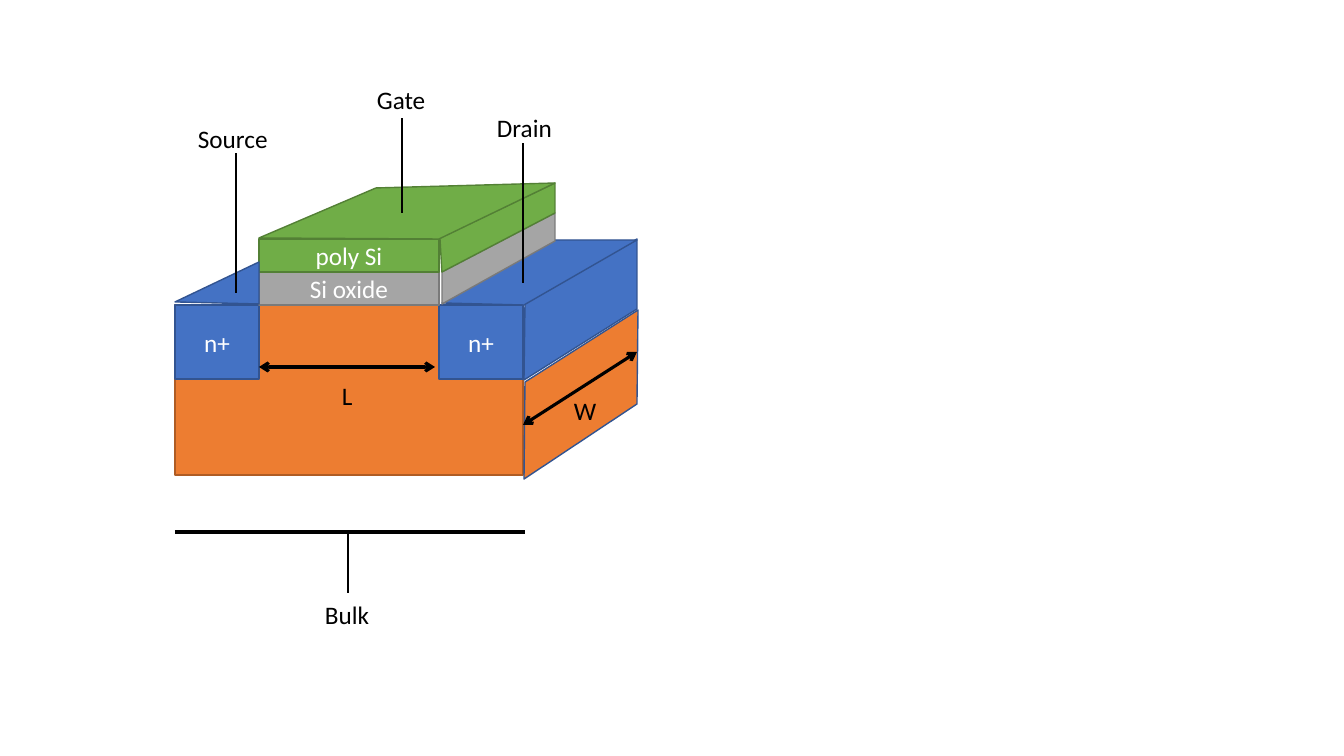
"""Build a slide with a labelled drawing of a MOSFET."""
import lxml.etree
import pptx
import pptx.dml.color
import pptx.enum.shapes
import pptx.enum.text
import pptx.oxml.ns
import pptx.util

EMU_PER_PX = 914400 / 100.8
SLIDE_SIZE = (1344, 756)
LABEL_HEIGHT = 40
BLACK, WHITE = "000000", "FFFFFF"
FONT = {"name": "Calibri", "size": pptx.util.Pt(18)}

BULK = ("ED7D31", "AF5C24")
BULK_SIDE = ("ED7D31", "325491")
DOPED = ("4472C4", "325491")
OXIDE = ("A5A5A5", "7A7A7A")
POLY = ("70AD47", "538035")

BLOCKS = [
    ("", BULK, (175, 305, 348, 170)),
    ("n+", DOPED, (175, 305, 84, 74)),
    ("n+", DOPED, (439, 305, 84, 74)),
    ("Si oxide", OXIDE, (259, 272, 180, 33)),
    ("poly Si", POLY, (259, 239, 180, 33)),
]
FACES = [
    (DOPED, [(525, 304), (637, 239), (637, 309), (524, 380)]),
    (DOPED, [(442, 303), (555, 240), (637, 240), (524, 305)]),
    (OXIDE, [(442, 272), (555, 213), (555, 241), (442, 304)]),
    (POLY, [(440, 238), (555, 183), (555, 213), (442, 272)]),
    (POLY, [(259, 238), (376, 188), (555, 183), (439, 239)]),
    (DOPED, [(175, 302), (259, 262), (259, 304)]),
    (BULK_SIDE, [(525, 382), (638, 310), (637, 404), (524, 479)]),
]
LABELS = [
    ("Source", 188, 118, 91),
    ("Gate", 367, 79, 70),
    ("Drain", 487, 107, 76),
    ("L", 332, 375, 31),
    ("W", 564, 390, 43),
    ("Bulk", 315, 594, 65),
]
LINES = [
    ((402, 213), (402, 118), 1.5, False),
    ((523, 283), (523, 143), 1.5, False),
    ((236, 293), (236, 153), 1.5, False),
    ((259, 367), (435, 367), 2.25, True),
    ((523, 425), (637, 352), 2.25, True),
    ((175, 532), (525, 532), 2.25, False),
    ((348, 593), (348, 532), 1.5, False),
]


def px(*lengths):
    return [pptx.util.Emu(round(length * EMU_PER_PX)) for length in lengths]


def color(hex_text):
    return pptx.dml.color.RGBColor.from_string(hex_text)


def set_text(shape, text, text_color):
    run = shape.text_frame.paragraphs[0].add_run()
    run.text = text
    run.font.color.rgb = color(text_color)
    for name, value in FONT.items():
        setattr(run.font, name, value)


def paint(shape, colors):
    fill, line = colors
    shape.shadow.inherit = False
    shape.fill.solid()
    shape.fill.fore_color.rgb = color(fill)
    shape.line.color.rgb = color(line)
    shape.line.width = pptx.util.Pt(1)


def add_block(slide, text, colors, box):
    rectangle = pptx.enum.shapes.MSO_SHAPE.RECTANGLE
    shape = slide.shapes.add_shape(rectangle, *px(*box))
    paint(shape, colors)
    if text:
        shape.text_frame.vertical_anchor = pptx.enum.text.MSO_ANCHOR.MIDDLE
        shape.text_frame.paragraphs[0].alignment = pptx.enum.text.PP_ALIGN.CENTER
        set_text(shape, text, WHITE)


def add_face(slide, colors, points):
    builder = slide.shapes.build_freeform(*points[0], scale=EMU_PER_PX)
    builder.add_line_segments(points[1:], close=True)
    paint(builder.convert_to_shape(), colors)


def add_label(slide, text, left, top, width):
    box = slide.shapes.add_textbox(*px(left, top, width, LABEL_HEIGHT))
    box.text_frame.word_wrap = False
    box.text_frame.auto_size = pptx.enum.text.MSO_AUTO_SIZE.SHAPE_TO_FIT_TEXT
    set_text(box, text, BLACK)


def add_line(slide, start, end, width, has_arrows):
    straight = pptx.enum.shapes.MSO_CONNECTOR.STRAIGHT
    connector = slide.shapes.add_connector(straight, *px(*start, *end))
    connector.line.color.rgb = color(BLACK)
    connector.line.width = pptx.util.Pt(width)
    properties = connector._element.spPr
    if has_arrows:
        outline = properties.find(pptx.oxml.ns.qn("a:ln"))
        for tag in ("a:headEnd", "a:tailEnd"):
            lxml.etree.SubElement(outline, pptx.oxml.ns.qn(tag), type="arrow")
    lxml.etree.SubElement(properties, pptx.oxml.ns.qn("a:effectLst"))


def main():
    presentation = pptx.Presentation()
    presentation.slide_width, presentation.slide_height = px(*SLIDE_SIZE)
    slide = presentation.slides.add_slide(presentation.slide_layouts[6])
    for add_part, parts in (
        (add_block, BLOCKS),
        (add_face, FACES),
        (add_label, LABELS),
        (add_line, LINES),
    ):
        for part in parts:
            add_part(slide, *part)
    presentation.save("out.pptx")


if __name__ == "__main__":
    main()
